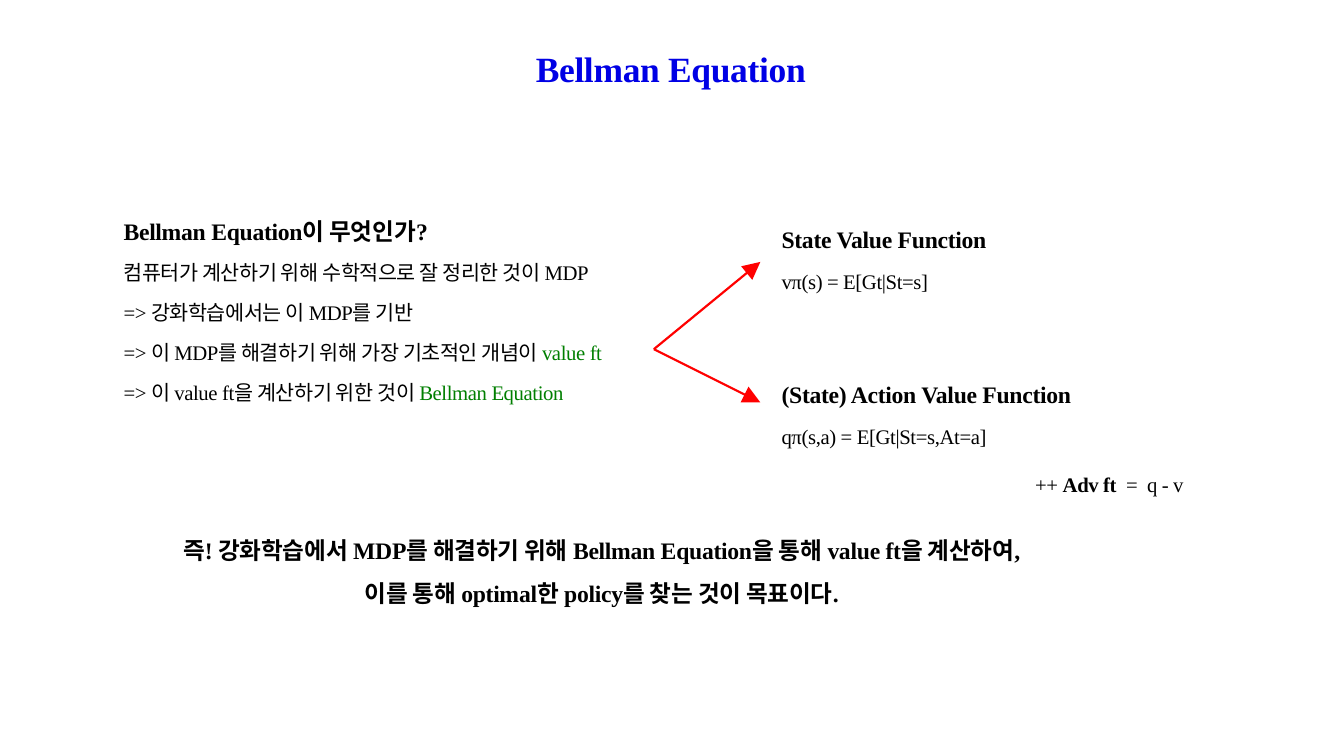
from dataclasses import dataclass

from lxml.etree import SubElement
from pptx import Presentation
from pptx.dml.color import RGBColor
from pptx.enum.shapes import MSO_CONNECTOR as Connector
from pptx.enum.text import MSO_ANCHOR as Anchor, MSO_AUTO_SIZE as AutoSize, PP_ALIGN as Align
from pptx.oxml.ns import qn
from pptx.util import Inches, Pt


@dataclass(frozen=True)
class Theme:
    font: str = "Times New Roman"
    title: RGBColor = RGBColor(0x00, 0x00, 0xE5)
    ink: RGBColor = RGBColor(0x00, 0x00, 0x00)
    accent: RGBColor = RGBColor(0x00, 0x7F, 0x00)
    arrow: RGBColor = RGBColor(0xFF, 0x00, 0x00)
    title_size: float = 12
    heading_size: float = 8
    text_size: float = 7
    arrow_width: float = 0.75
    space_before: float = 0.9
    line_spacing: float = 1.5
    tracking: int = -10


THEME = Theme()
STYLES = {
    "title": (THEME.title_size, THEME.title, True),
    "heading": (THEME.heading_size, THEME.ink, True),
    "text": (THEME.text_size, THEME.ink, False),
    "strong": (THEME.text_size, THEME.ink, True),
    "accent": (THEME.text_size, THEME.accent, False),
}

TITLE = [[("Bellman Equation", "title")]]
QUESTION = [
    [("Bellman Equation이 무엇인가?", "heading")],
    [("컴퓨터가 계산하기 위해 수학적으로 잘 정리한 것이 MDP", "text")],
    [("=> 강화학습에서는 이 MDP를 기반", "text")],
    [("=> 이 MDP를 해결하기 위해 가장 기초적인 개념이 ", "text"), ("value ft", "accent")],
    [("=> 이 value ft을 계산하기 위한 것이 ", "text"), ("Bellman Equation", "accent")],
]
STATE_VALUE = [
    [("State Value Function", "heading")],
    [("vπ(s) = E[Gt|St=s]", "text")],
]
ACTION_VALUE = [
    [("(State) Action Value Function", "heading")],
    [("qπ(s,a) = E[Gt|St=s,At=a]", "text")],
]
ADVANTAGE = [[("++ ", "text"), ("Adv ft ", "strong"), (" =  q - v", "text")]]
CONCLUSION = [[(
    "즉! 강화학습에서 MDP를 해결하기 위해 Bellman Equation을 통해 value ft을 계산하여,\v"
    "이를 통해 optimal한 policy를 찾는 것이 목표이다.",
    "heading",
)]]

NOTES = [
    (STATE_VALUE, (3.66, 0.98, 1.83, 0.38), Align.LEFT),
    (ACTION_VALUE, (3.66, 1.71, 2.16, 0.4), Align.LEFT),
    (ADVANTAGE, (4.85, 2.15, 1.0, 0.2), Align.LEFT),
    (CONCLUSION, (0.57, 2.44, 4.5, 0.42), Align.CENTER),
]
ARROW_START = (3.07, 1.64)
ARROW_ENDS = [(3.57, 1.23), (3.57, 1.89)]


def write(holder, content, area, align=Align.LEFT, line_spacing=THEME.line_spacing):
    holder.left, holder.top, holder.width, holder.height = map(Inches, area)
    frame = holder.text_frame
    frame.word_wrap = True
    frame.auto_size = AutoSize.NONE
    frame.vertical_anchor = Anchor.TOP
    frame.margin_left = frame.margin_right = frame.margin_bottom = 0
    frame.margin_top = Inches(0.01)
    frame.text = "\n".join("".join(words for words, _ in line) for line in content)
    for paragraph, line in zip(frame.paragraphs, content):
        paragraph.alignment = align
        paragraph.line_spacing = line_spacing
        paragraph.space_before = Pt(THEME.space_before)
        properties = paragraph._p.get_or_add_pPr()
        properties.set("marL", str(Inches(0.01)))
        properties.set("indent", "0")
        SubElement(properties, qn("a:buNone"))
        if len(line) > 1:
            paragraph.clear()
            for words, _ in line:
                paragraph.add_run().text = words
        styles = [style for _, style in line]
        for index, run in enumerate(paragraph.runs):
            size, color, bold = STYLES[styles[min(index, len(styles) - 1)]]
            run.font.name = THEME.font
            run.font.size = Pt(size)
            run.font.bold = bold
            run.font.color.rgb = color
            run._r.get_or_add_rPr().set("spc", str(THEME.tracking))


def draw_arrow(slide, start, end):
    arrow = slide.shapes.add_connector(Connector.STRAIGHT, *map(Inches, start + end))
    arrow.line.color.rgb = THEME.arrow
    arrow.line.width = Pt(THEME.arrow_width)
    SubElement(arrow.line._get_or_add_ln(), qn("a:tailEnd"), type="triangle")
    SubElement(arrow._element.spPr, qn("a:effectLst"))


def main():
    deck = Presentation()
    deck.slide_width, deck.slide_height = Inches(6.31), Inches(3.55)
    slide = deck.slides.add_slide(deck.slide_layouts[1])
    write(slide.shapes.title, TITLE, (2.08, 0.21, 2.13, 0.22), Align.CENTER, 1.0)
    write(slide.placeholders[1], QUESTION, (0.57, 0.94, 2.5, 1.05))
    for end in ARROW_ENDS:
        draw_arrow(slide, ARROW_START, end)
    for content, area, align in NOTES:
        write(slide.shapes.add_textbox(0, 0, 0, 0), content, area, align)
    deck.save("out.pptx")


if __name__ == "__main__":
    main()
